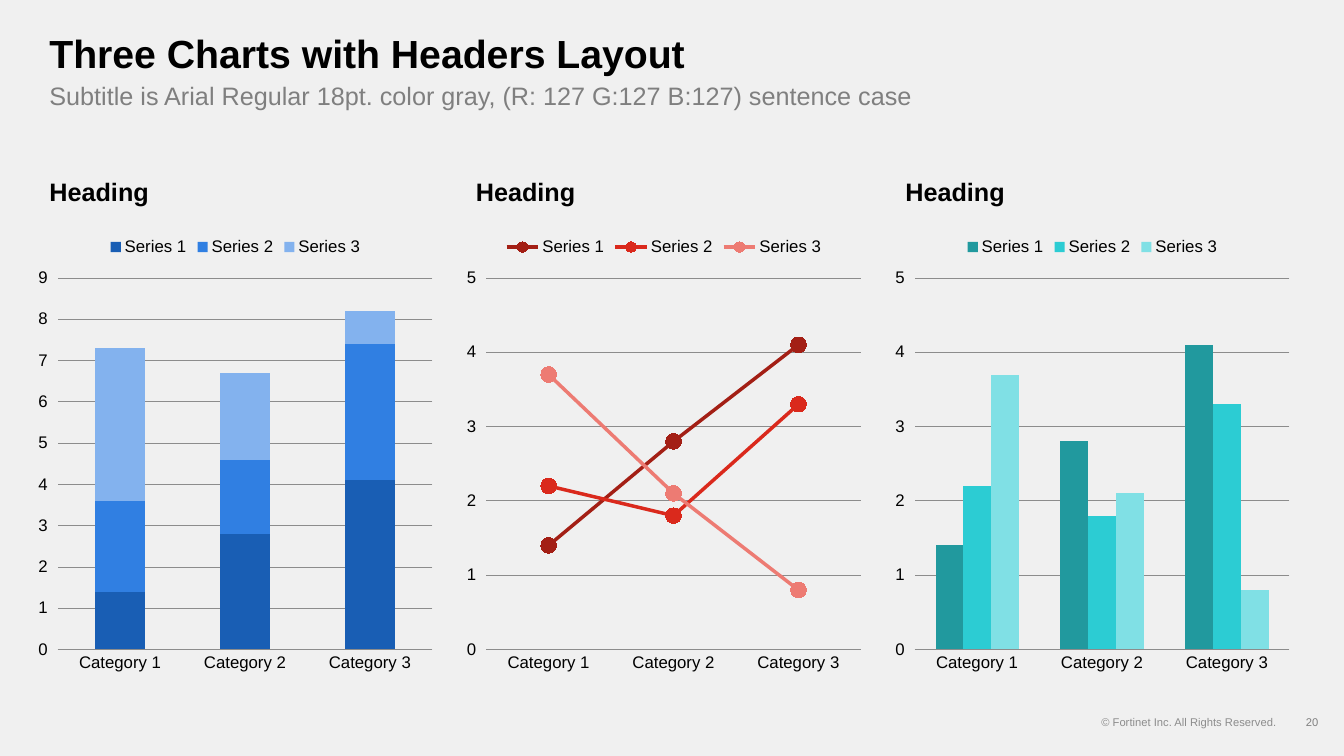
"""Build a slide with three headed charts: stacked columns, lines and clustered columns."""
import pptx
import pptx.chart.data
import pptx.dml.color
import pptx.enum.chart
import pptx.enum.text
import pptx.oxml.ns
import pptx.util
from lxml import etree
from pptx.util import Inches

XL = pptx.enum.chart.XL_CHART_TYPE
ANCHOR = pptx.enum.text.MSO_ANCHOR
ALIGN = pptx.enum.text.PP_ALIGN


def rgb(value):
    """Return the colour for a hex string."""
    return pptx.dml.color.RGBColor.from_string(value)


def write(sp, box, text, size, color, bold=False, anchor=ANCHOR.TOP, align=ALIGN.LEFT, spacing=0.9):
    """Place a text shape and fill it with one formatted line."""
    sp.left, sp.top, sp.width, sp.height = [Inches(v) for v in box]
    tf = sp.text_frame
    frame = {"word_wrap": True, "auto_size": pptx.enum.text.MSO_AUTO_SIZE.NONE, "vertical_anchor": anchor}
    for name, value in frame.items():
        setattr(tf, name, value)
    p = tf.paragraphs[0]
    pPr = p._p.get_or_add_pPr()
    pPr.set("marL", "0")
    pPr.set("indent", "0")
    etree.SubElement(pPr, pptx.oxml.ns.qn("a:buNone"))
    para = {"alignment": align, "line_spacing": spacing, "space_before": pptx.util.Pt(0)}
    for name, value in para.items():
        setattr(p, name, value)
    r = p.add_run()
    r.text = text
    for name, value in {"name": "Arial", "size": pptx.util.Pt(size), "bold": bold}.items():
        setattr(r.font, name, value)
    r.font.color.rgb = rgb(color)


prs = pptx.Presentation()
prs.slide_width, prs.slide_height = Inches(13.33), Inches(7.5)
s = prs.slides.add_slide(prs.slide_layouts.get_by_name("Comparison"))
s.background.fill.solid()
s.background.fill.fore_color.rgb = rgb("F0F0F0")

title, subtitle, *headings = s.placeholders
write(title, (0.39, 0.29, 12.39, 0.5), "Three Charts with Headers Layout", 28, "000000", bold=True)
write(subtitle, (0.39, 0.78, 12.39, 0.36),
      "Subtitle is Arial Regular 18pt. color gray, (R: 127 G:127 B:127) sentence case", 18, "7F7F7F")
for sp, left in zip(headings, (0.39, 4.62, 8.88)):
    write(sp, (left, 1.56, 4.08, 0.54), "Heading", 18, "000000", bold=True, anchor=ANCHOR.BOTTOM)

footers = [
    ((10.77, 7.01, 1.99, 0.3), "© Fortinet Inc. All Rights Reserved.", "8C8C8C", ALIGN.RIGHT),
    ((12.76, 7.01, 0.51, 0.3), "20", "808080", ALIGN.CENTER),
]
for box, text, color, align in footers:
    sp = s.shapes.add_textbox(0, 0, 0, 0)
    write(sp, box, text, 8, color, anchor=ANCHOR.MIDDLE, align=align, spacing=1.0)

data = pptx.chart.data.CategoryChartData()
data.categories = ["Category 1", "Category 2", "Category 3"]
data.add_series("Series 1", (1.4, 2.8, 4.1))
data.add_series("Series 2", (2.2, 1.8, 3.3))
data.add_series("Series 3", (3.7, 2.1, 0.8))

charts = [
    (XL.COLUMN_STACKED, 0.3, 9, ("195EB4", "307FE2", "83B2EE")),
    (XL.LINE_MARKERS, 4.55, 5, ("A31F15", "DA291C", "ED7B73")),
    (XL.COLUMN_CLUSTERED, 8.8, 5, ("21999E", "2CCCD3", "80E0E5")),
]
for kind, left, top_value, colors in charts:
    frame = s.shapes.add_chart(kind, Inches(left), Inches(2.25), Inches(4.07), Inches(4.5), data)
    chart = frame.chart
    chart.has_title = False
    chart.font.name = "Arial"
    chart.font.size = pptx.util.Pt(12)
    chart.font.color.rgb = rgb("000000")
    chart.has_legend = True
    chart.legend.position = pptx.enum.chart.XL_LEGEND_POSITION.TOP
    chart.legend.include_in_layout = False

    cat_axis, val_axis = chart.category_axis, chart.value_axis
    cat_axis.major_tick_mark = pptx.enum.chart.XL_TICK_MARK.NONE
    scale = {"minimum_scale": 0, "maximum_scale": top_value, "major_unit": 1, "has_major_gridlines": True,
             "major_tick_mark": pptx.enum.chart.XL_TICK_MARK.OUTSIDE}
    for name, value in scale.items():
        setattr(val_axis, name, value)
    val_axis.format.line.fill.background()
    for line in (cat_axis.format.line, val_axis.major_gridlines.format.line):
        line.color.rgb = rgb("8C8C8C")
        line.width = pptx.util.Pt(0.5)

    plot = chart.plots[0]
    plot.vary_by_categories = False
    if kind != XL.LINE_MARKERS:
        plot.gap_width = 150
        plot.overlap = 100 if kind == XL.COLUMN_STACKED else 0
    for series, color in zip(plot.series, colors):
        fills = [series.format.fill]
        if kind == XL.LINE_MARKERS:
            series.smooth = False
            series.format.line.color.rgb = rgb(color)
            series.format.line.width = pptx.util.Pt(2.5)
            series.marker.style = pptx.enum.chart.XL_MARKER_STYLE.CIRCLE
            series.marker.size = 11
            series.marker.format.line.color.rgb = rgb(color)
            fills = [series.marker.format.fill]
        for fill in fills:
            fill.solid()
            fill.fore_color.rgb = rgb(color)

prs.save("out.pptx")
